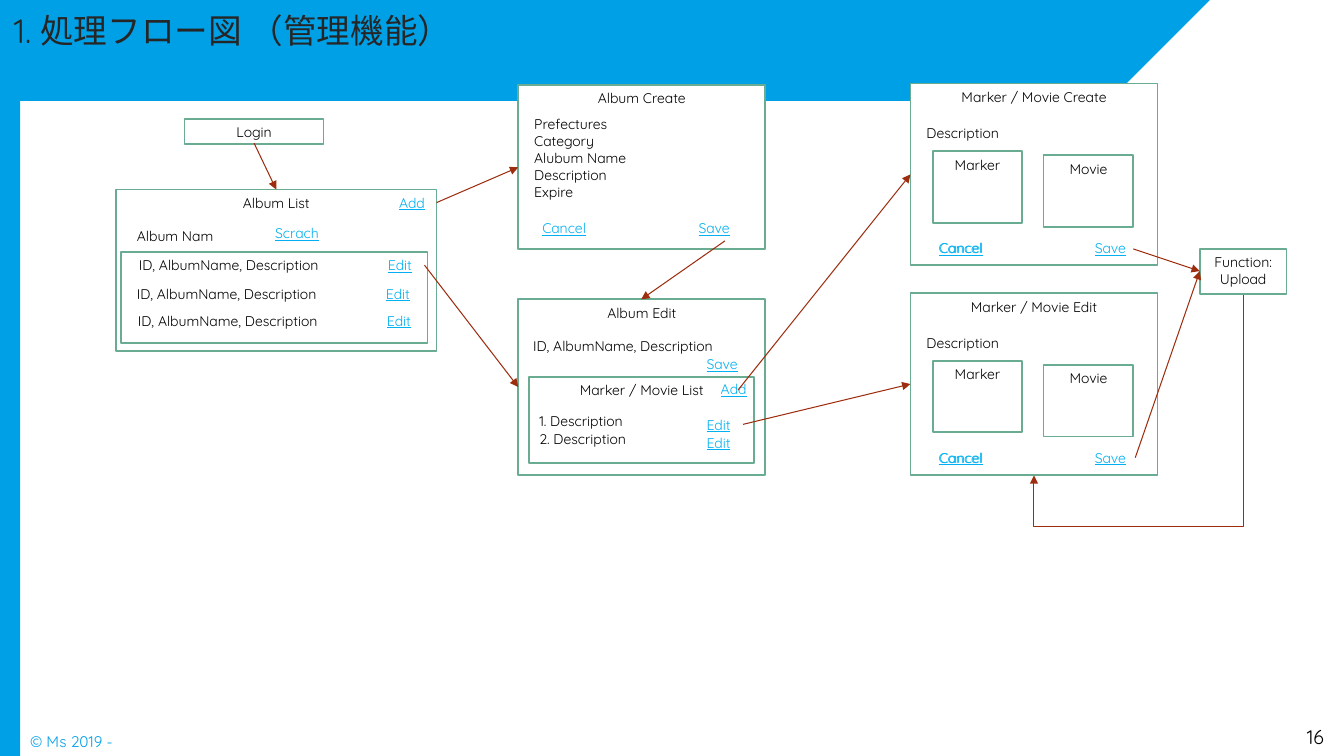
from pptx import Presentation
from pptx import util as u
from pptx.dml.color import RGBColor
from pptx.enum import shapes, text
from pptx.oxml.ns import qn
from lxml import etree

FONT = "Quicksand"
HUES = {"band": "00A0E7", "link": "00B0F0", "edge": "6AAC91", "arrow": "9D2D0F",
        "ink": "000000", "title": "262626", "white": "FFFFFF"}

BAND = [(0, 0), (10.51, 0), (10.66, 0.01), (12.45, 0.26), (12.5, 0.28),
        (12.45, 0.29), (10.66, 0.54), (10.51, 0.55), (0, 0.55)]

BOXES = [
    ("Album List", 1.15, 1.88, 3.18, 1.6),
    ("", 1.2, 2.5, 3.04, 0.9),
    ("Login", 1.83, 1.18, 1.38, 0.25),
    ("Album Create", 5.14, 0.84, 2.45, 1.63),
    ("Album Edit", 5.14, 2.97, 2.45, 1.74),
    ("Marker / Movie List", 5.25, 3.74, 2.23, 0.85),
    ("Function: Upload", 11.9, 2.47, 0.86, 0.45),
]
NOTES = [
    ("Album Nam", 1.26, 2.21, 1.26),
    ("Prefectures\nCategory\nAlubum Name\nDescription\nExpire", 5.2, 1.1, 1.88),
    ("ID, AlbumName, Description", 5.19, 3.3, 2.31),
    ("1. Description", 5.25, 4.04, 1.32),
    ("2. Description", 5.25, 4.22, 1.32),
]
LINKS = [
    ("Add", 3.86, 1.88, 0.69), ("Scrach", 2.63, 2.18, 0.69),
    ("Cancel", 5.28, 2.13, 0.72), ("Save", 6.83, 2.13, 0.72),
    ("Save", 6.91, 3.48, 0.72), ("Add", 7.05, 3.73, 0.69),
    ("Edit", 6.91, 4.08, 0.46), ("Edit", 6.91, 4.26, 0.46),
]
ALBUMS = [(1.28, 2.5), (1.26, 2.78), (1.27, 3.05)]
FORMS = [("Marker / Movie Create", 0.83), ("Marker / Movie Edit", 2.91)]
ARROWS = [
    (2.52, 1.42, 2.74, 1.88), (4.33, 2.01, 5.14, 1.66),
    (4.21, 2.63, 5.14, 3.84), (7.19, 2.39, 6.36, 2.97),
    (7.32, 3.87, 9.03, 1.73), (7.37, 4.21, 9.03, 3.81),
    (11.24, 2.47, 11.9, 2.69), (11.26, 4.54, 11.9, 2.69),
]

deck = Presentation()
deck.slide_width, deck.slide_height = u.Inches(13.33), u.Inches(7.5)
slide = deck.slides.add_slide(deck.slide_layouts[6])


def hue(name):
    return RGBColor.from_string(HUES[name])


def write(frame, words, size=10, color="ink", align=text.PP_ALIGN.LEFT, line=False):
    frame.word_wrap = True
    frame.text = words
    for para in frame.paragraphs:
        para.alignment = align
        for run in para.runs:
            font = run.font
            font.name, font.size, font.underline = FONT, u.Pt(size), line
            font.color.rgb = hue(color)


def paint(shape, fill, edge=None):
    shape.shadow.inherit = False
    shape.fill.solid()
    shape.fill.fore_color.rgb = hue(fill)
    if edge:
        shape.line.color.rgb = hue(edge)
        shape.line.width = u.Pt(1.25)
    else:
        shape.line.fill.background()


def rect(x, y, w, h, fill, edge=None):
    shape = slide.shapes.add_shape(shapes.MSO_SHAPE.RECTANGLE, *map(u.Inches, (x, y, w, h)))
    paint(shape, fill, edge)
    return shape


def box(words, x, y, w, h):
    frame = rect(x, y, w, h, "white", "edge").text_frame
    if words:
        write(frame, words, align=text.PP_ALIGN.CENTER)
        frame.vertical_anchor = (text.MSO_ANCHOR.MIDDLE if words == "Login"
                                 else text.MSO_ANCHOR.TOP)


def note(words, x, y, w, h=0.27, grow=True, **style):
    frame = slide.shapes.add_textbox(*map(u.Inches, (x, y, w, h))).text_frame
    write(frame, words, **style)
    if grow:
        frame.auto_size = text.MSO_AUTO_SIZE.SHAPE_TO_FIT_TEXT


def link(words, x, y, w):
    note(words, x, y, w, color="link", line=True)


def arrow(kind, *ends):
    wire = slide.shapes.add_connector(kind, *map(u.Inches, ends))
    wire.line.color.rgb = hue("arrow")
    wire.line.width = u.Pt(0.75)
    etree.SubElement(wire.line._get_or_add_ln(), qn("a:tailEnd"), type="triangle")
    etree.SubElement(wire._element.spPr, qn("a:effectLst"))
    return wire


rect(0, 0, 0.2, 7.5, "band")
pen = slide.shapes.build_freeform(0, 0, scale=u.Inches(1))
pen.add_line_segments(BAND[1:], close=True)
paint(pen.convert_to_shape(), "band")
note("1. 処理フロー図 （管理機能）", 0.04, 0.05, 10.32, 0.46, grow=False, size=24, color="title")
note("© Ms 2019 -", 0.2, 7.21, 1.1, 0.29, size=11, color="band")
note("16", 12.38, 7.14, 0.85, 0.29, grow=False, size=14, align=text.PP_ALIGN.RIGHT)

for item in BOXES:
    box(*item)
for item in NOTES:
    note(*item)
for item in LINKS:
    link(*item)
for x, y in ALBUMS:
    note("ID, AlbumName, Description", x, y, 2.31)
    link("Edit", x + 2.47, y, 0.46)
for name, top in FORMS:
    box(name, 9.03, top, 2.45, 1.8)
    note("Description", 9.09, top + 0.36, 1.32)
    box("Marker", 9.25, top + 0.67, 0.89, 0.71)
    box("Movie", 10.35, top + 0.71, 0.89, 0.71)
    for word, x in (("Cancel", 9.21), ("Cancel", 9.22), ("Save", 10.76)):
        link(word, x, top + 1.5, 0.72)

for ends in ARROWS:
    arrow(shapes.MSO_CONNECTOR.STRAIGHT, *ends)
loop = arrow(shapes.MSO_CONNECTOR.ELBOW, 10.4, 2.78, 12.19, 4.86)
form = loop._element.spPr
form.find(qn("a:xfrm")).set("rot", "5400000")
bends = form.find(qn("a:prstGeom")).find(qn("a:avLst"))
etree.SubElement(bends, qn("a:gd"), name="adj1", fmla="val 128300")

deck.save("out.pptx")
